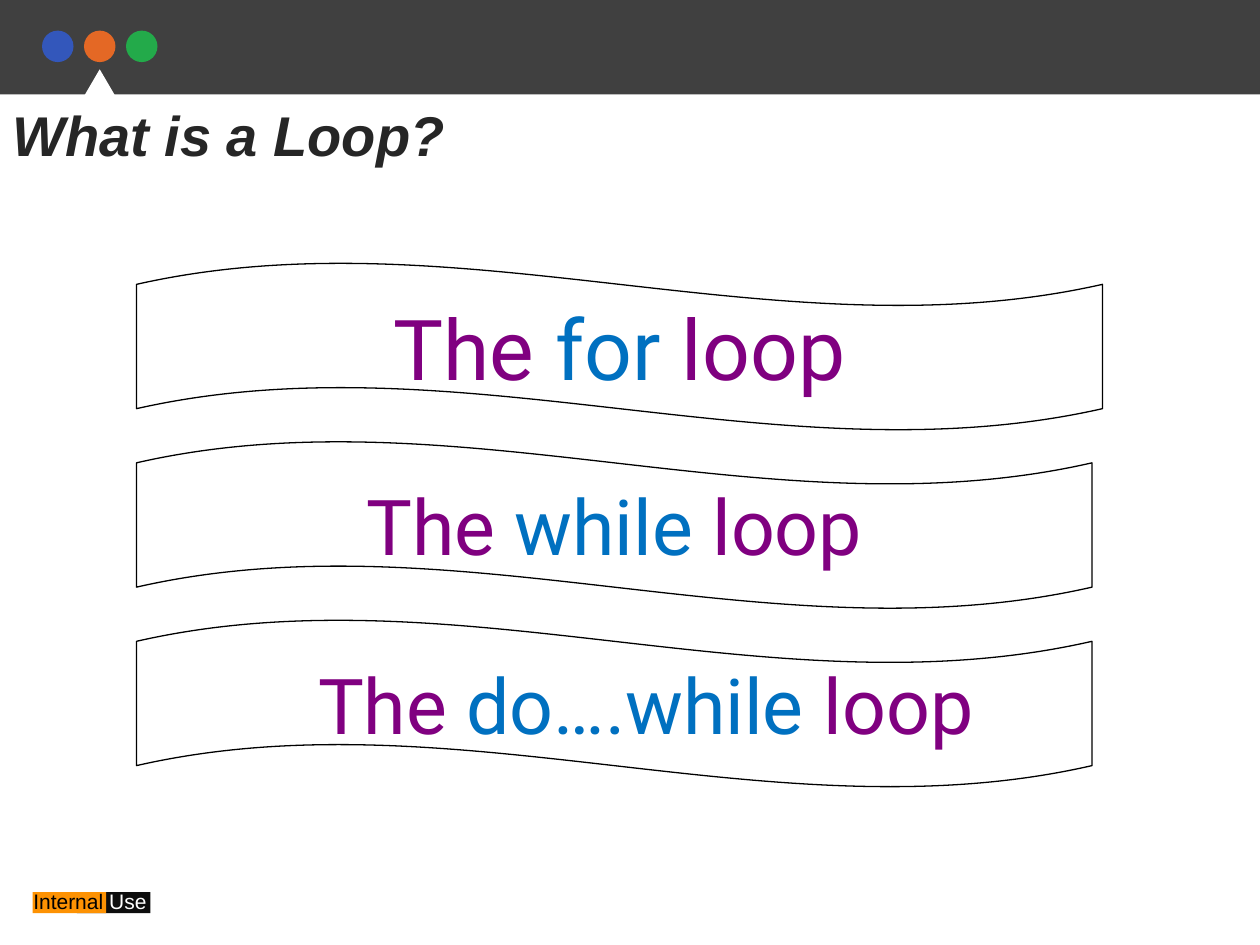
from pptx import Presentation
from pptx.dml.color import RGBColor
from pptx.enum import shapes, text
from pptx.util import Pt

COLORS = {
    "bar": "404040", "blue": "3357BB", "orange": "E46825", "green": "23AA4A",
    "white": "FFFFFF", "black": "000000", "use": "0D0D0D", "internal": "FD9203",
    "purple": "800080", "keyword": "0070C0", "title": "262626",
}
KIND = shapes.MSO_SHAPE

deck = Presentation()
deck.slide_width, deck.slide_height = Pt(720), Pt(540)
slide = deck.slides.add_slide(deck.slide_layouts[6])


def add_block(kind, box, fill=None):
    block = slide.shapes.add_shape(kind, *map(Pt, box))
    block.shadow.inherit = False
    if fill:
        block.fill.solid()
        block.fill.fore_color.rgb = RGBColor.from_string(COLORS[fill])
        block.line.fill.background()
    else:
        block.fill.background()
        block.line.color.rgb = RGBColor.from_string(COLORS["black"])
        block.line.width = Pt(0.75)
    return block


def add_runs(paragraph, parts, font, size):
    for words, color in parts:
        run = paragraph.add_run()
        run.text = words
        run.font.name = font
        run.font.size = Pt(size)
        run.font.color.rgb = RGBColor.from_string(COLORS[color])


add_block(KIND.RECTANGLE, (0, 0, 720, 54), "bar")
for i, color in enumerate(("blue", "orange", "green")):
    add_block(KIND.OVAL, (24 + 24 * i, 17.5, 18, 18), color)
add_block(KIND.ISOSCELES_TRIANGLE, (36, 39.6, 42, 36), "white")

add_block(KIND.RECTANGLE, (44, 509.75, 42, 12), "use")
add_block(KIND.RECTANGLE, (18.75, 509.75, 42, 12), "internal")
label = slide.shapes.add_textbox(Pt(12), Pt(504), Pt(108), Pt(21.6)).text_frame
label.word_wrap = True
label.auto_size = text.MSO_AUTO_SIZE.SHAPE_TO_FIT_TEXT
add_runs(label.paragraphs[0], [("Internal ", "black"), ("Use", "white")], "Arial", 12)

loops = [("for ", 552, 48, 0), ("while ", 546, 44, 0), ("do….while ", 546, 44, 1)]
for i, (keyword, width, size, level) in enumerate(loops):
    wave = add_block(KIND.WAVE, (78, 150 + 102 * i, width, 96))
    wave.adjustments[0] = 0.13
    wave.adjustments[1] = 0
    frame = wave.text_frame
    frame.word_wrap = False
    frame.vertical_anchor = text.MSO_ANCHOR.MIDDLE
    name = frame.paragraphs[0]
    name.alignment = text.PP_ALIGN.CENTER
    name.level = level
    parts = [("The ", "purple"), (keyword, "keyword"), ("loop", "purple")]
    add_runs(name, parts, "Roboto", size)

title = slide.shapes.add_textbox(Pt(0), Pt(54), Pt(420), Pt(46)).text_frame
title.word_wrap = True
title.auto_size = text.MSO_AUTO_SIZE.SHAPE_TO_FIT_TEXT
add_runs(title.paragraphs[0], [("What is a Loop?", "title")], "Arial", 32)
title.paragraphs[0].runs[0].font.bold = True
title.paragraphs[0].runs[0].font.italic = True

deck.save("out.pptx")
